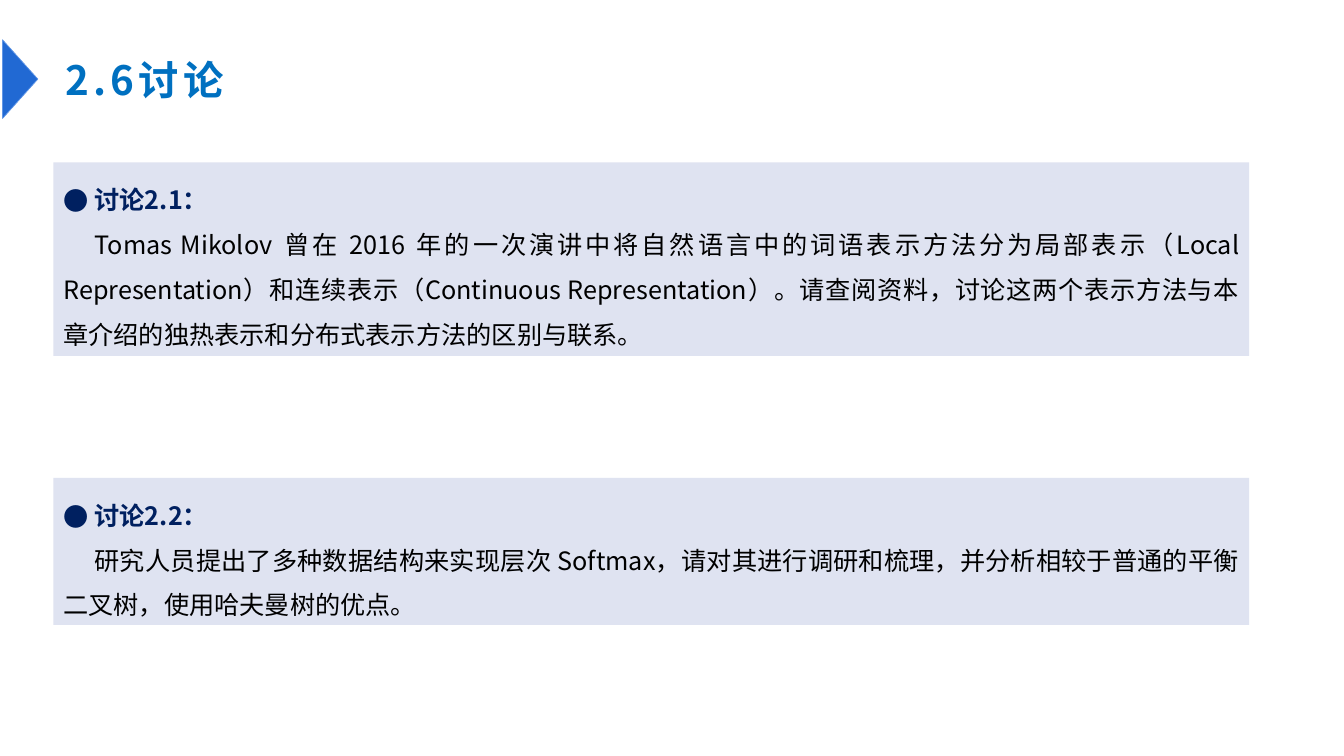
from dataclasses import dataclass

from lxml.etree import SubElement
from pptx import Presentation
from pptx.dml.color import RGBColor
from pptx.enum.shapes import MSO_SHAPE as Shape
from pptx.enum.text import MSO_ANCHOR as Anchor, PP_ALIGN as Align
from pptx.oxml.ns import qn
from pptx.util import Pt

SCALE = 9144  # EMU per px, 100 px to the inch
FONT = "Noto Sans CJK SC"
INDENT = 31
COLORS = {
    "title": "0070C0",
    "marker": "2169D3",
    "marker_line": "6096E6",
    "panel": "DFE3F1",
    "heading": "002060",
    "body": "000000",
}


@dataclass
class Discussion:
    top: int
    height: int
    heading: str
    body: str


DISCUSSIONS = [
    Discussion(
        161, 192, "讨论2.1：",
        "Tomas Mikolov 曾在 2016 年的一次演讲中将自然语言中的词语表示方法分为局部表示"
        "（Local Representation）和连续表示（Continuous Representation）。"
        "请查阅资料，讨论这两个表示方法与本章介绍的独热表示和分布式表示方法的区别与联系。",
    ),
    Discussion(
        474, 146, "讨论2.2：",
        "研究人员提出了多种数据结构来实现层次 Softmax，请对其进行调研和梳理，"
        "并分析相较于普通的平衡二叉树，使用哈夫曼树的优点。",
    ),
]


def px(length: int) -> int:
    return length * SCALE


def color(name: str) -> RGBColor:
    return RGBColor.from_string(COLORS[name])


def place(shape, left: int, top: int, width: int, height: int) -> None:
    shape.left, shape.top = px(left), px(top)
    shape.width, shape.height = px(width), px(height)


def write(para, text: str, *, ink: str, size: float = 18, bold: bool = False,
          align=Align.JUSTIFY, leading: float | None = None, margin: int = 0,
          first: int = 0, bullet: str = "", tracking: float = 0) -> None:
    """Fill a paragraph with one formatted run."""
    para.alignment = align
    if leading:
        para.line_spacing = Pt(leading)
    para.space_before = Pt(0)
    props = para._p.get_or_add_pPr()
    props.set("marL", str(px(margin)))
    props.set("indent", str(px(first)))
    if bullet:
        SubElement(props, qn("a:buFont"), typeface=FONT)
        SubElement(props, qn("a:buChar"), char=bullet)
    else:
        SubElement(props, qn("a:buNone"))

    span = para.add_run()
    span.text = text
    span.font.size = Pt(size)
    span.font.bold = bold
    span.font.color.rgb = color(ink)
    span.font.name = FONT
    run_props = span._r.get_or_add_rPr()
    SubElement(run_props, qn("a:ea"), typeface=FONT)
    if tracking:
        run_props.set("spc", str(int(tracking * 100)))


def add_filled(page, kind, left: int, top: int, width: int, height: int, fill: str):
    shape = page.shapes.add_shape(kind, px(left), px(top), px(width), px(height))
    shape.shadow.inherit = False
    shape.fill.solid()
    shape.fill.fore_color.rgb = color(fill)
    shape.line.fill.background()
    return shape


def add_title(page, text: str) -> None:
    title = page.shapes.title
    place(title, 64, 53, 730, 50)
    frame = title.text_frame
    frame.margin_left = frame.margin_right = frame.margin_bottom = 0
    frame.margin_top = px(2)
    frame.vertical_anchor = Anchor.MIDDLE
    write(frame.paragraphs[0], text, ink="title", size=28.8, bold=True,
          align=Align.LEFT, margin=1, tracking=3)


def add_marker(page) -> None:
    marker = add_filled(page, Shape.ISOSCELES_TRIANGLE, -19, 61, 78, 35, "marker")
    marker.rotation = 90
    marker.line.color.rgb = color("marker_line")
    marker.line.width = Pt(0.5)


def add_discussion(page, item: Discussion) -> None:
    panel = add_filled(page, Shape.RECTANGLE, 53, item.top, 1186, item.height, "panel")
    frame = panel.text_frame
    frame.word_wrap = True
    frame.vertical_anchor = Anchor.TOP
    frame.margin_left = frame.margin_right = px(10)
    frame.margin_top = px(7)
    frame.margin_bottom = 0
    write(frame.paragraphs[0], item.heading, ink="heading", bold=True, leading=32.5,
          margin=INDENT, first=-INDENT, bullet="●")
    write(frame.add_paragraph(), item.body, ink="body", leading=32, first=INDENT)


def main() -> None:
    deck = Presentation()
    deck.slide_width, deck.slide_height = px(1333), px(750)
    page = deck.slides.add_slide(deck.slide_layouts[5])

    # Heading
    add_title(page, "2.6讨论")
    add_marker(page)

    # Discussion panels
    for item in DISCUSSIONS:
        add_discussion(page, item)

    deck.save("out.pptx")


if __name__ == "__main__":
    main()
